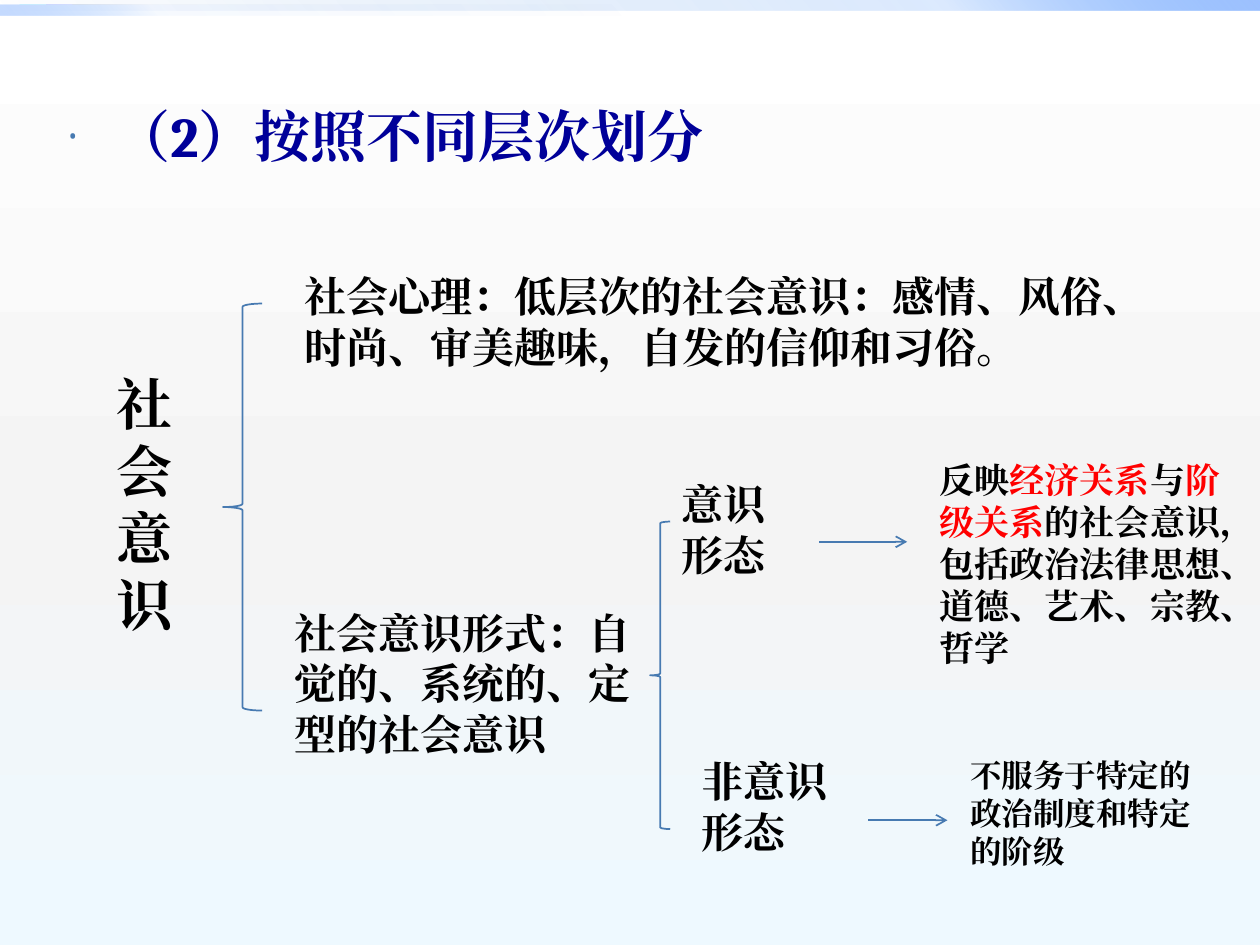
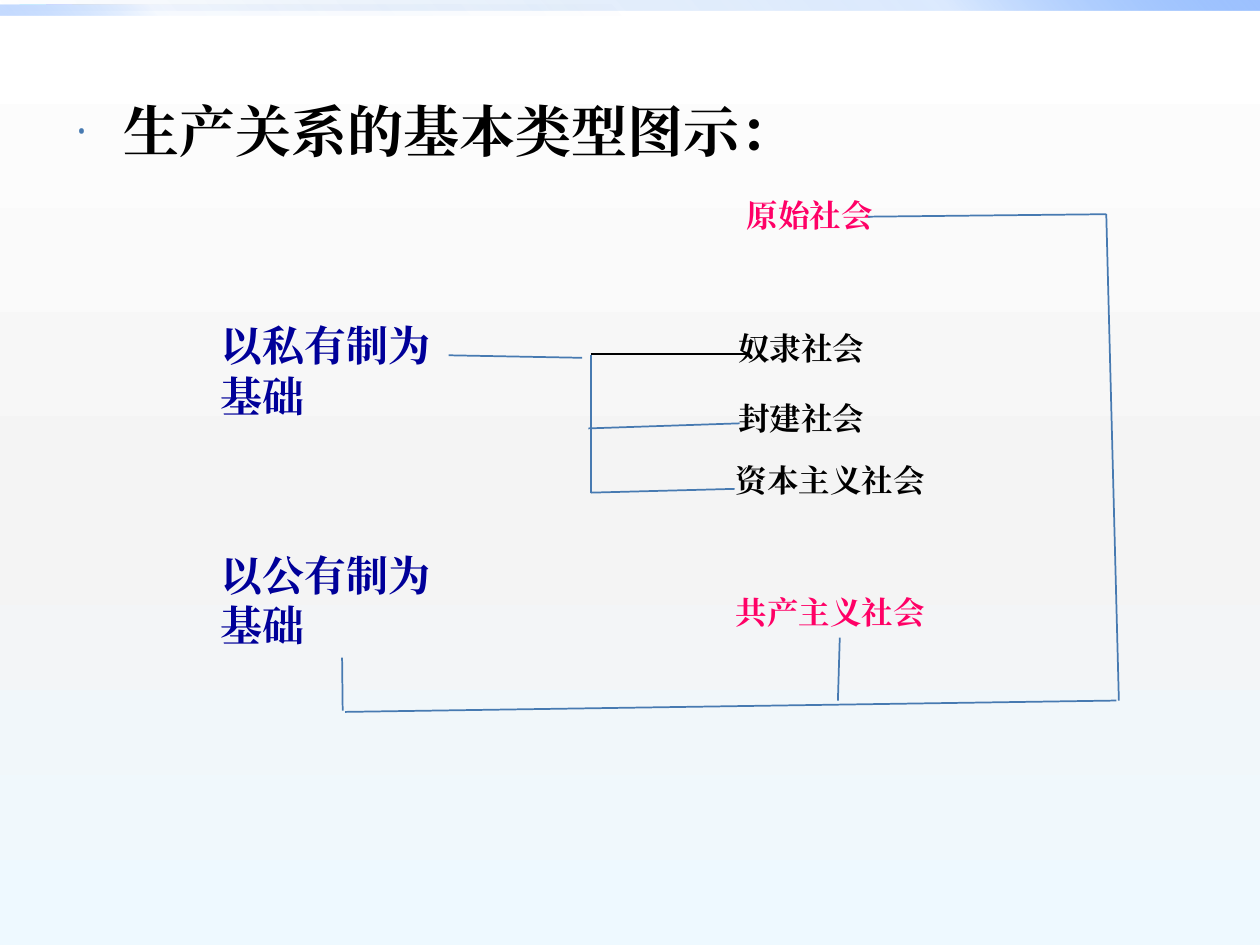
from lxml.etree import SubElement
from pptx import Presentation
from pptx.dml.color import RGBColor
from pptx.enum.lang import MSO_LANGUAGE_ID
from pptx.enum.shapes import MSO_CONNECTOR, MSO_SHAPE
from pptx.enum.text import MSO_AUTO_SIZE
from pptx.oxml.ns import qn
from pptx.util import Inches, Pt

COLUMNS, ROWS = 100, 75
CELL = Inches(0.1)
FONT = "Cambria"
BLACK, NAVY, RED, PINK, STEEL = "000000", "000099", "FF0000", "FF0066", "477AB1"
BACKDROP = [(0, "FFFFFF", 100), (55, "F4F4F4", 100), (100, "EEF9FF", 100)]
BANDS = [
    ((0, 0, COLUMNS, 0.8), 315, [(0, "0058B7", 0), (75, "4F95FF", 20), (100, "9EC2FF", 100)]),
    ((0, 0.4, COLUMNS / 2, 0.8), 135, [(0, "0058B7", 0), (75, "4F95FF", 5), (100, "9EC2FF", 60)]),
]


def rgb(color):
    """Turn a hex string into a colour."""
    return RGBColor.from_string(color)


def cells(box, *lengths):
    """Turn x, y[, w, h] in cells, counted from the box's corner, into EMU."""
    offsets = (box[0], box[1], 0, 0)
    return [round((n + o) * CELL) for n, o in zip(lengths, offsets)]


def add_xml(parent, tag, **attributes):
    """Append a DrawingML element and return it."""
    return SubElement(parent, qn(f"a:{tag}"), {k: str(v) for k, v in attributes.items()})


def set_gradient(fill, element, stops, angle):
    """Give a fill its stops (percent, colour, opacity) and its angle."""
    fill.gradient()
    gradient = next(element.iter(qn("a:gradFill")))
    stop_list = gradient.find(qn("a:gsLst"))
    for old_stop in list(stop_list):
        stop_list.remove(old_stop)
    for position, color, opacity in stops:
        stop = add_xml(stop_list, "gs", pos=position * 1000)
        value = add_xml(stop, "srgbClr", val=color)
        if opacity < 100:
            add_xml(value, "alpha", val=opacity * 1000)
    gradient.find(qn("a:lin")).set("ang", str(angle * 60000))


def add_backdrop(s):
    """Paint the background and the two bands along the top."""
    set_gradient(s.background.fill, s._element, BACKDROP, 90)
    for box, angle, stops in BANDS:
        sp = s.shapes.add_shape(MSO_SHAPE.RECTANGLE, *cells((0, 0), *box))
        sp.shadow.inherit = False
        sp.line.fill.background()
        set_gradient(sp.fill, sp._element, stops, angle)


def add_run(p, text, size, color):
    """Add a bold run."""
    r = p.add_run()
    r.text = text
    formats = {"size": Pt(size), "bold": True, "name": FONT,
               "language_id": MSO_LANGUAGE_ID.SIMPLIFIED_CHINESE}
    for name, value in formats.items():
        setattr(r.font, name, value)
    r.font.color.rgb = rgb(color)
    add_xml(r._r.get_or_add_rPr(), "ea", typeface=FONT)


def add_text(s, box, place, paragraphs, size, color=BLACK):
    """Add a wrapped text box; a paragraph is a string or (text, colour) pairs."""
    sp = s.shapes.add_textbox(*cells(box, *place))
    tf = sp.text_frame
    for name, value in {"word_wrap": True, "auto_size": MSO_AUTO_SIZE.SHAPE_TO_FIT_TEXT}.items():
        setattr(tf, name, value)
    for i, runs in enumerate(paragraphs):
        p = tf.add_paragraph() if i else tf.paragraphs[0]
        for text, run_color in [(runs, color)] if isinstance(runs, str) else runs:
            add_run(p, text, size, run_color)
    return sp


def add_line(s, box, ends, color=STEEL, arrow=False, source=None):
    """Draw a thin line, with an open arrowhead or joined under a source box if asked."""
    x1, y1, x2, y2 = ends
    line = s.shapes.add_connector(MSO_CONNECTOR.STRAIGHT, *cells(box, x1, y1), *cells(box, x2, y2))
    line.line.width = Pt(1)
    line.line.color.rgb = rgb(color)
    if arrow:
        add_xml(line.line._get_or_add_ln(), "tailEnd", type="arrow")
    add_xml(line._element.spPr, "effectLst")
    if source is not None:
        line.begin_connect(source, 2)


def add_brace(s, box, place):
    """Draw a left brace."""
    sp = s.shapes.add_shape(MSO_SHAPE.LEFT_BRACE, *cells(box, *place))
    sp.shadow.inherit = False
    sp.fill.background()
    sp.line.width = Pt(1)
    sp.line.color.rgb = rgb(STEEL)


def add_heading(s, box, text, color):
    """Write the bulleted heading."""
    sp = add_text(s, box, (0, 0, *box[2:]), [text], 32, color)
    sp.text_frame.auto_size = MSO_AUTO_SIZE.NONE
    pPr = sp.text_frame.paragraphs[0]._p.get_or_add_pPr()
    indent = Inches(0.38)
    pPr.set("marL", str(indent))
    pPr.set("indent", str(-indent))
    add_xml(add_xml(pPr, "spcBef"), "spcPct", val=20000)
    add_xml(add_xml(pPr, "buClr"), "srgbClr", val=STEEL)
    add_xml(pPr, "buSzPct", val=50000)
    add_xml(pPr, "buFont", typeface=FONT)
    add_xml(pPr, "buChar", char="•")


def add_consciousness_tree(s, box):
    """Branch social consciousness into its levels."""
    reflection = [("反映", BLACK), ("经济关系", RED), ("与", BLACK), ("阶级关系", RED),
                  ("的社会意识，包括政治法律思想、道德、艺术、宗教、哲学", BLACK)]
    texts = [
        ((0, 7.8, 5.5, 22.6), ["社会意识"], 32),
        ((14.9, 0, 71.1, 9.1),
         ["社会心理：低层次的社会意识：感情、风俗、时尚、审美趣味，自发的信仰和习俗。"], 24),
        ((14.1, 26.7, 29.9, 13.1), ["社会意识形式：自觉的、系统的、定型的社会意识"], 24),
        ((44.8, 16.5, 12.6, 9.1), ["意识", "形态"], 24),
        ((65.3, 14.9, 26.4, 17.8), [reflection], 20),
        ((46.4, 38.5, 15, 9.1), ["非意识形态"], 24),
        ((67.7, 38.5, 20.5, 10.1), ["不服务于特定的政治制度和特定的阶级"], 18),
    ]
    for place, paragraphs, size in texts:
        add_text(s, box, place, paragraphs, size)
    for place in [(9.4, 3.1, 3.1, 32.3), (43.3, 20.4, 1.6, 24.4)]:
        add_brace(s, box, place)
    for x1, x2, y in [(56.7, 63.7, 22), (60.6, 66.9, 44.1)]:
        add_line(s, box, (x1, y, x2, y), arrow=True)


def add_society_chart(s, box):
    """Link the two kinds of ownership to the five societies."""
    add_text(s, box, (0, 9.8, 20.9, 9.1), ["以私有制为基础"], 24, NAVY)
    public = add_text(s, box, (0, 28, 21.3, 9.1), ["以公有制为基础"], 24, NAVY)
    societies = [
        ("原始社会", 41.8, 0, 19.9, PINK),
        ("奴隶社会", 41.1, 10.5, 12.8, BLACK),
        ("封建社会", 41.1, 16.1, 12.9, BLACK),
        ("资本主义社会", 40.9, 21, 17.1, BLACK),
        ("共产主义社会", 40.9, 31.5, 18.5, PINK),
    ]
    for name, x, y, width, color in societies:
        communism = add_text(s, box, (x, y, width, 4), [name], 18, color)
    add_line(s, box, (10.7, 37.1, 10.7, 41.3), source=public)
    add_line(s, box, (50.2, 35.5, 50, 40.5), source=communism)
    public_links = [(10.9, 41.4, 72.1, 40.5), (72.3, 40.5, 71.3, 1.9), (52.4, 2.1, 71.3, 1.9)]
    private_links = [(19.1, 13.1, 29.7, 13.3), (30.4, 13.1, 30.4, 24),
                     (30.4, 24, 41.8, 23.7), (30.2, 18.9, 42.2, 18.5)]
    for ends in public_links + private_links:
        add_line(s, box, ends)
    add_line(s, box, (30.4, 13, 43, 13), BLACK)


def main():
    """Build both slides and save them."""
    prs = Presentation()
    prs.slide_width, prs.slide_height = COLUMNS * CELL, ROWS * CELL
    slides = [
        ((4.3, 7.6, 90, 7.9), "（2）按照不同层次划分", NAVY, add_consciousness_tree, (8.3, 21)),
        ((5, 7.2, 90, 8), "生产关系的基本类型图示：", BLACK, add_society_chart, (16.5, 15.1)),
    ]
    for heading_box, heading, color, add_diagram, diagram_box in slides:
        s = prs.slides.add_slide(prs.slide_layouts[6])
        add_backdrop(s)
        add_heading(s, heading_box, heading, color)
        add_diagram(s, diagram_box)
    prs.save("out.pptx")


if __name__ == "__main__":
    main()
